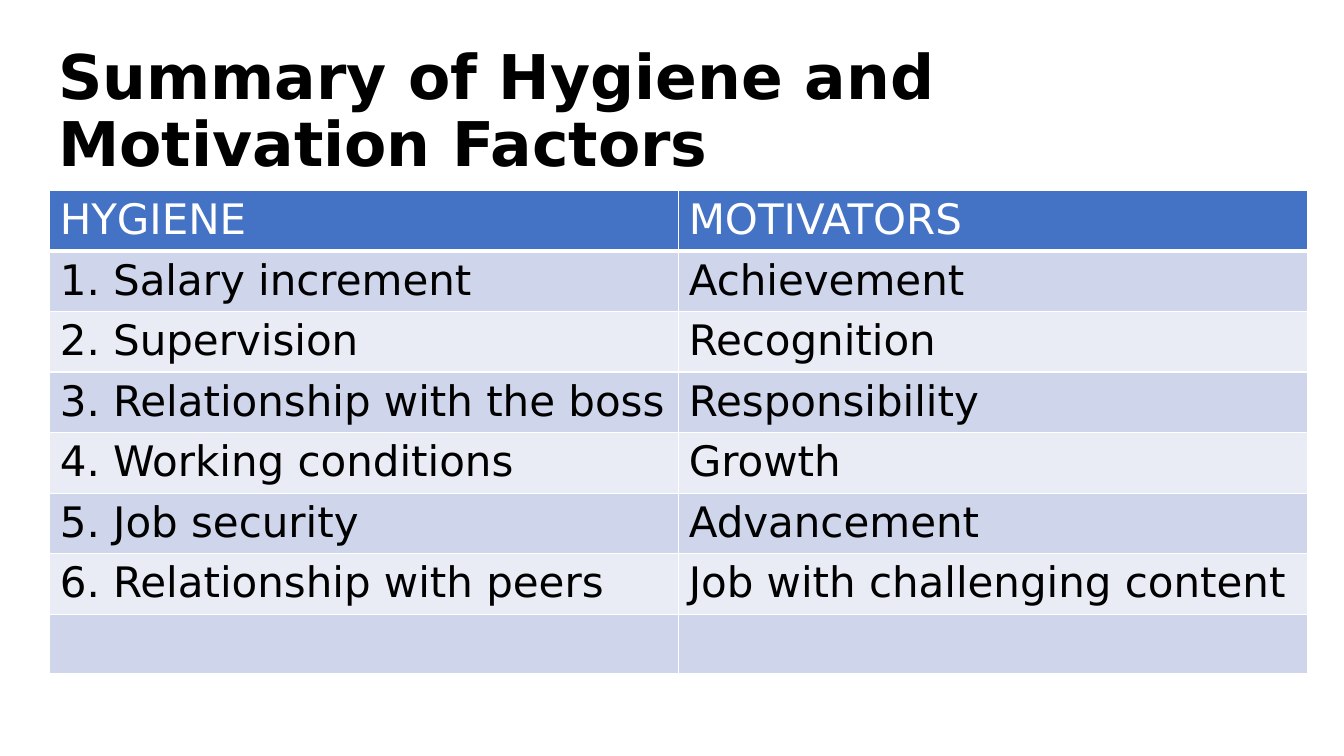
from lxml.etree import SubElement
from pptx import Presentation
from pptx.dml.color import RGBColor
from pptx.enum.text import MSO_ANCHOR
from pptx.oxml.ns import qn
from pptx.util import Inches, Pt

WIDTH, HEIGHT = 13.33, 7.5
FACTORS = [
    ("HYGIENE", "MOTIVATORS"),
    ("1. Salary increment", "Achievement"),
    ("2. Supervision", "Recognition"),
    ("3. Relationship with the boss", "Responsibility"),
    ("4. Working conditions", "Growth"),
    ("5. Job security", "Advancement"),
    ("6. Relationship with peers", "Job with challenging content"),
    ("", ""),
]


def rgb(value):
    return RGBColor.from_string(value)


def write(tf, text, size=30, color="000000", bold=False, spacing=None):
    p = tf.paragraphs[0]
    p.line_spacing = spacing
    if text:
        r = p.add_run()
        r.text = text
        r.font.name = "DejaVu Sans"
        r.font.size = Pt(size)
        r.font.bold = bold
        r.font.color.rgb = rgb(color)


class FactorSlide:
    """Hold the colours and the current slide, and place elements by shares of its size."""

    header, bands, rule = "4472C4", ("E9EBF5", "CFD5EA"), "FFFFFF"

    def __init__(self, prs):
        self.slide = prs.slides.add_slide(prs.slide_layouts[6])

    def box(self, left, top, width, height):
        return (Inches(left * WIDTH), Inches(top * HEIGHT),
                Inches(width * WIDTH), Inches(height * HEIGHT))

    def title(self, text, *shares):
        tf = self.slide.shapes.add_textbox(*self.box(*shares)).text_frame
        tf.word_wrap = True
        tf.vertical_anchor = MSO_ANCHOR.MIDDLE
        write(tf, text, size=44, bold=True, spacing=0.9)

    def border(self, cell, side, points):
        ln = SubElement(cell._tc.get_or_add_tcPr(), qn(f"a:ln{side}"), w=str(Pt(points)))
        fill = SubElement(ln, qn("a:solidFill"))
        SubElement(fill, qn("a:srgbClr"), val=self.rule)

    def table(self, rows, *shares):
        frame = self.slide.shapes.add_table(len(rows), len(rows[0]), *self.box(*shares))
        for i, row in enumerate(rows):
            for j, text in enumerate(row):
                cell = frame.table.cell(i, j)
                for side in "LRTB":
                    self.border(cell, side, 3 if i == 0 and side == "B" else 1)
                cell.fill.solid()
                cell.fill.fore_color.rgb = rgb(self.bands[i % 2] if i else self.header)
                write(cell.text_frame, text, color="000000" if i else "FFFFFF")


def main():
    prs = Presentation()
    prs.slide_width, prs.slide_height = Inches(WIDTH), Inches(HEIGHT)
    s = FactorSlide(prs)
    s.title("Summary of Hygiene and Motivation Factors", 0.036, 0.053, 0.932, 0.193)
    s.table(FACTORS, 0.037, 0.252, 0.936, 0.624)
    prs.save("out.pptx")


if __name__ == "__main__":
    main()
